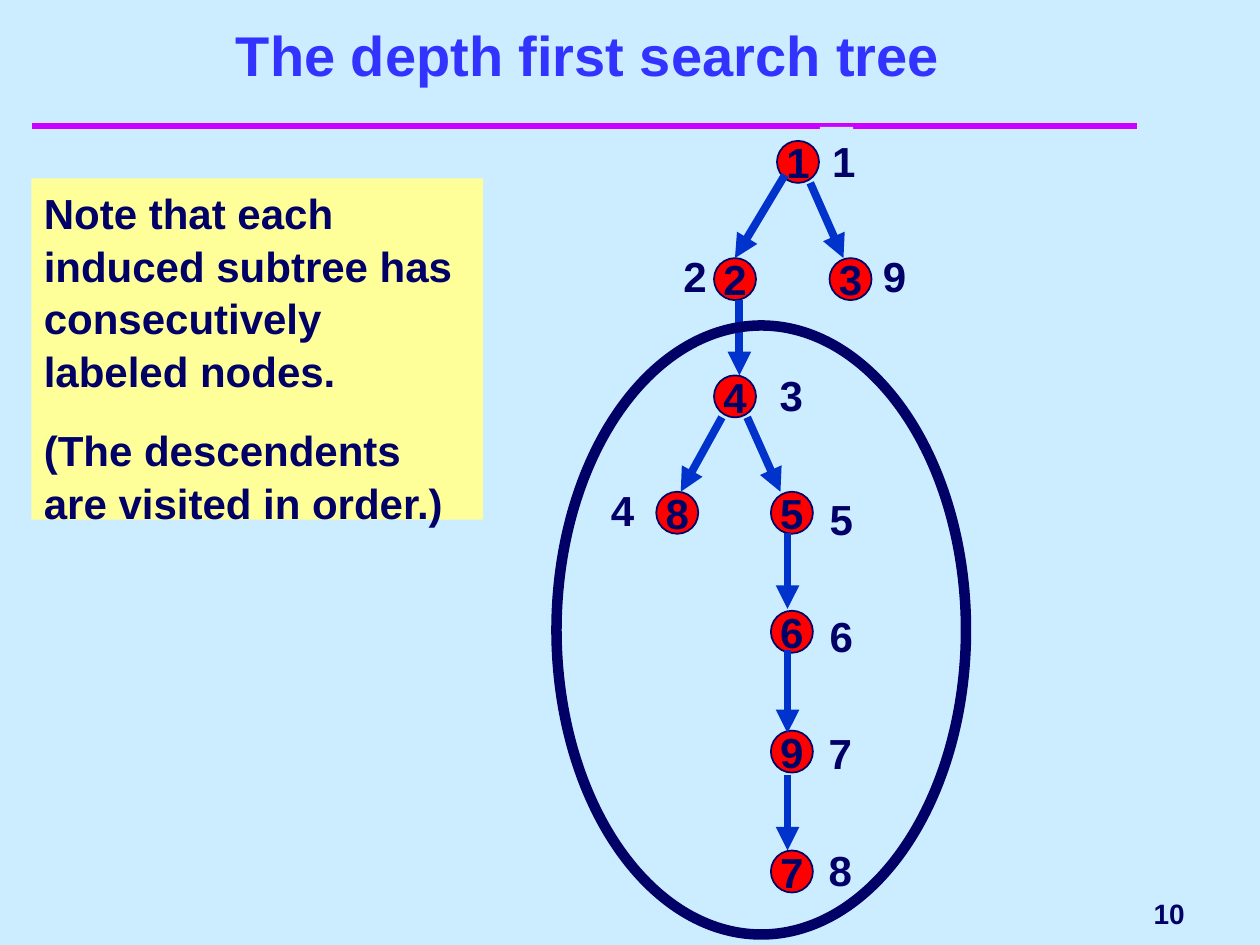
from dataclasses import dataclass

import pptx
import pptx.dml.color
import pptx.enum.shapes
import pptx.enum.text
import pptx.oxml
import pptx.util
from pptx.oxml.ns import qn

Pt = pptx.util.Pt
SHAPE = pptx.enum.shapes.MSO_SHAPE
ALIGN = pptx.enum.text.PP_ALIGN
ANCHOR = pptx.enum.text.MSO_ANCHOR

COLORS = {
    "background": "CCECFF", "title": "3333FF", "rule": "CC00FF",
    "ink": "000066", "node": "FF0000", "arrow": "0033CC", "note": "FFFF99",
}
FONT = "Arial"
NODE_SIZE = 24
LABEL_HEIGHT = 36


@dataclass
class Node:
    name: str
    x: float
    y: float
    visit: str  # position in the search order
    label_x: float
    label_y: float
    label_width: float = 19


@dataclass
class Arrow:
    x1: float
    y1: float
    x2: float
    y2: float


NODES = [
    Node("1", 444, 80.5, "1", 468.5, 72.5),
    Node("2", 408, 147.5, "2", 383.5, 138),
    Node("3", 474, 147.5, "9", 497.5, 138),
    Node("4", 408, 214.5, "3", 438.5, 206),
    Node("8", 375, 281, "4", 342, 272, 25),
    Node("5", 440.5, 281, "5", 467, 277),
    Node("6", 440.5, 349, "6", 467, 344),
    Node("9", 440.5, 417.5, "7", 466.5, 410.5),
    Node("7", 440.5, 486, "8", 466.5, 477.5),
]
ARROWS = [
    Arrow(463, 104.5, 482, 147.5),
    Arrow(448.5, 100, 420, 147.5),
    Arrow(422.5, 171.5, 422.5, 214.5),
    Arrow(427, 238.5, 446, 281),
    Arrow(412.5, 238.5, 389, 281),
    Arrow(450, 304.5, 450, 348),
    Arrow(450, 371.5, 450, 419),
    Arrow(450, 443, 450, 486),
]


def rgb(name: str) -> pptx.dml.color.RGBColor:
    return pptx.dml.color.RGBColor.from_string(COLORS[name])


def add_text(p, text: str, size: float, color: str = "ink") -> None:
    r = p.add_run()
    r.text = text
    r.font.name = FONT
    r.font.size = Pt(size)
    r.font.bold = True
    r.font.color.rgb = rgb(color)


def add_box(s, x: float, y: float, w: float, h: float, fill: str, texts: list[str]) -> None:
    sp = s.shapes.add_textbox(Pt(x), Pt(y), Pt(w), Pt(h))
    sp.fill.solid()
    sp.fill.fore_color.rgb = rgb(fill)
    tf = sp.text_frame
    tf.word_wrap = True
    for i, text in enumerate(texts):
        p = tf.add_paragraph() if i else tf.paragraphs[0]
        p.space_before = Pt(15)
        p.line_spacing = 1.05
        add_text(p, text, 24)


def add_ellipse(s, x: float, y: float, w: float, h: float, line_width: float):
    sp = s.shapes.add_shape(SHAPE.OVAL, Pt(x), Pt(y), Pt(w), Pt(h))
    sp.shadow.inherit = False
    sp.fill.background()
    sp.line.color.rgb = rgb("ink")
    sp.line.width = Pt(line_width)
    return sp


def add_node(s, node: Node) -> None:
    sp = add_ellipse(s, node.x, node.y, NODE_SIZE, NODE_SIZE, 1)
    sp.fill.solid()
    sp.fill.fore_color.rgb = rgb("node")
    tf = sp.text_frame
    tf.word_wrap = False
    tf.vertical_anchor = ANCHOR.MIDDLE
    p = tf.paragraphs[0]
    p.alignment = ALIGN.CENTER
    add_text(p, node.name, 24)


def add_line(s, line: Arrow, color: str, width: float, head: bool = True) -> None:
    c = s.shapes.add_connector(
        pptx.enum.shapes.MSO_CONNECTOR.STRAIGHT,
        Pt(line.x1), Pt(line.y1), Pt(line.x2), Pt(line.y2))
    c.line.color.rgb = rgb(color)
    c.line.width = Pt(width)
    if head:
        tail = pptx.oxml.xmlchemy.OxmlElement("a:tailEnd")
        tail.set("type", "triangle")
        c.line._get_or_add_ln().append(tail)
    c._element.spPr.append(pptx.oxml.xmlchemy.OxmlElement("a:effectLst"))


def main() -> None:
    prs = pptx.Presentation()
    prs.slide_width, prs.slide_height = Pt(720), Pt(540)
    s = prs.slides.add_slide(prs.slide_layouts.get_by_name("Title Only"))
    s.background.fill.solid()
    s.background.fill.fore_color.rgb = rgb("background")

    # Title and rule
    title = s.shapes.title
    title.left, title.top, title.width, title.height = Pt(30), Pt(12), Pt(612), Pt(42)
    tf = title.text_frame
    tf.word_wrap = True
    tf.auto_size = pptx.enum.text.MSO_AUTO_SIZE.NONE
    tf.vertical_anchor = ANCHOR.BOTTOM
    tf.paragraphs[0].alignment = ALIGN.CENTER
    add_text(tf.paragraphs[0], "The depth first search tree", 32, "title")
    add_line(s, Arrow(18, 72, 650, 72), "rule", 4, head=False)

    # Slide number
    tf = s.shapes.add_textbox(Pt(546), Pt(504), Pt(138), Pt(36)).text_frame
    tf.word_wrap = True
    tf.vertical_anchor = ANCHOR.MIDDLE
    tf.paragraphs[0].alignment = ALIGN.RIGHT
    add_text(tf.paragraphs[0], "10", 16)

    # Search tree: visit labels, then nodes, then arrows
    for node in NODES:
        add_box(s, node.label_x, node.label_y, node.label_width, LABEL_HEIGHT,
                "background", [node.visit])
    for node in NODES:
        add_node(s, node)
    for arrow in ARROWS:
        add_line(s, arrow, "arrow", 4.5)

    # Note and the subtree it describes
    add_box(s, 18, 102, 258, 195, "note", [
        "Note that each induced subtree has consecutively labeled nodes.",
        "(The descendents are visited in order.)",
    ])
    add_ellipse(s, 318, 186, 234, 348, 6)

    prs.save("out.pptx")


if __name__ == "__main__":
    main()
